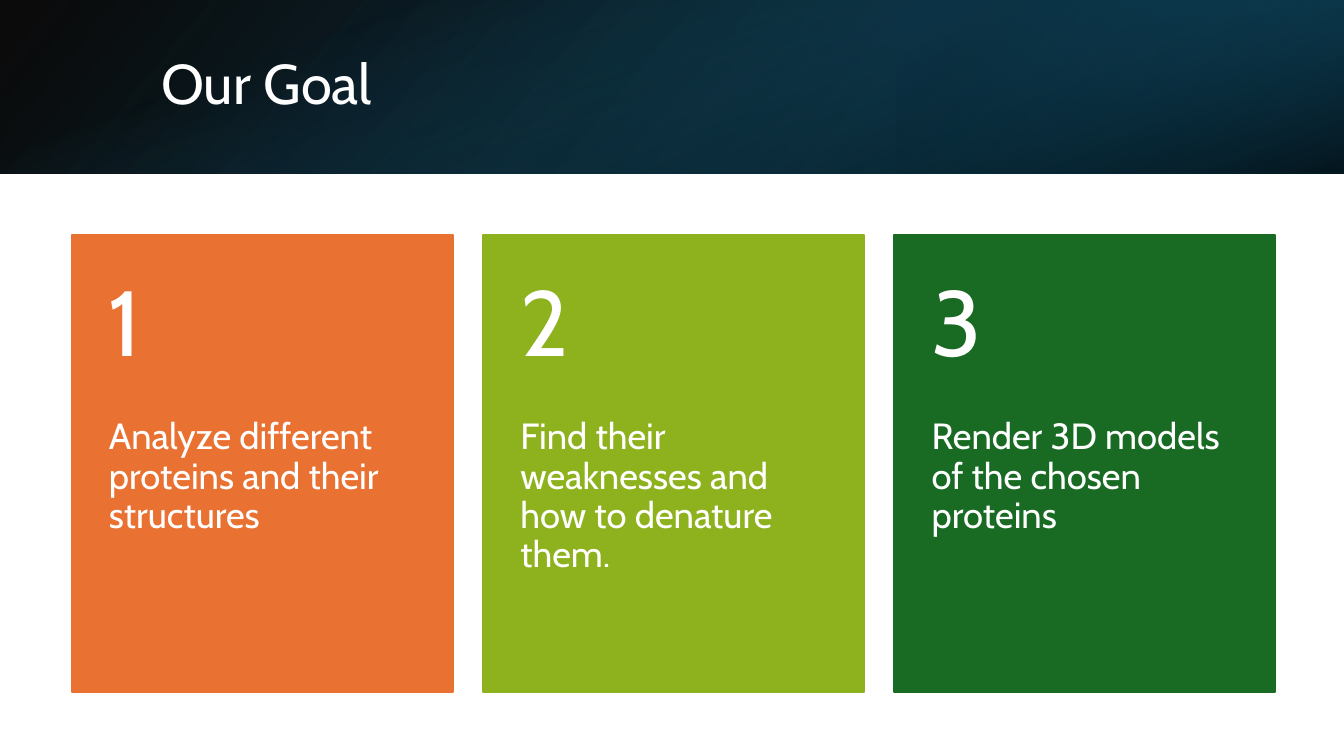
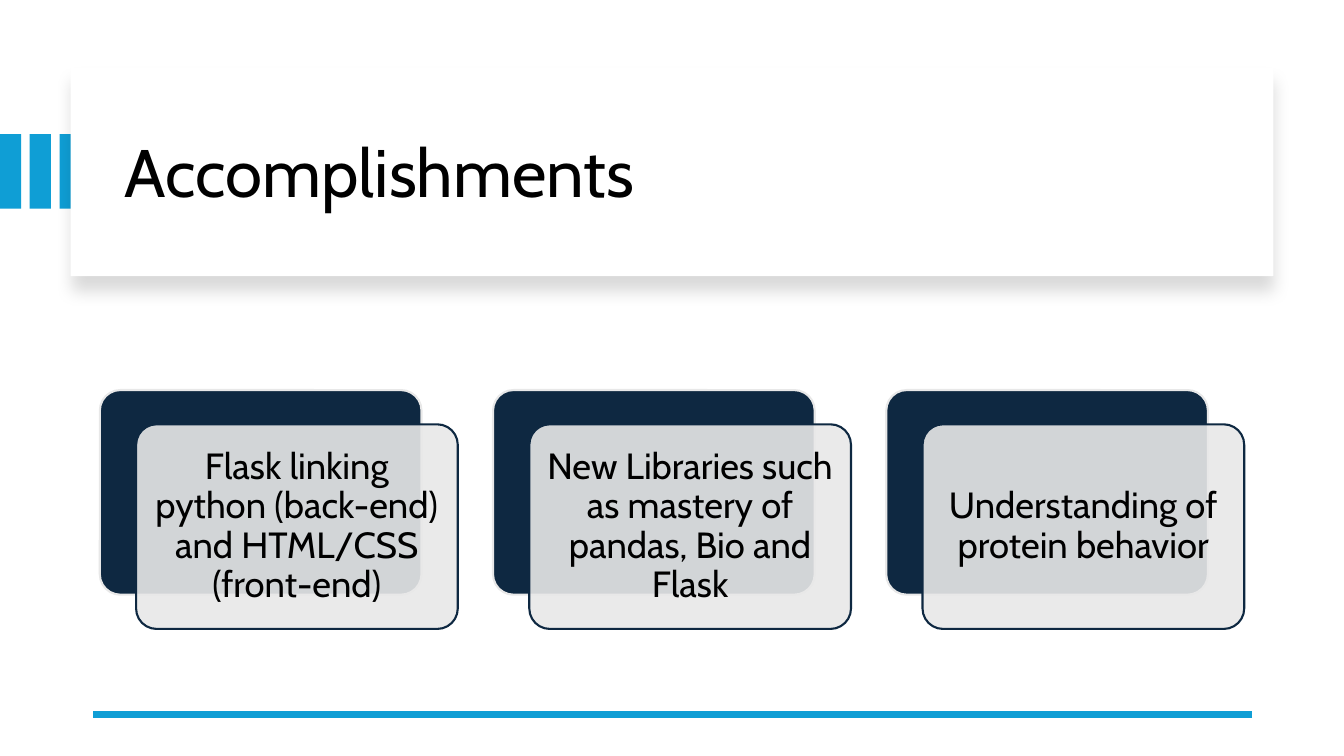
from dataclasses import dataclass

from lxml.etree import SubElement
from pptx import Presentation
from pptx.dml.color import RGBColor
from pptx.enum.shapes import MSO_CONNECTOR, MSO_SHAPE
from pptx.enum.text import MSO_ANCHOR, PP_ALIGN
from pptx.oxml.ns import qn
from pptx.shapes.autoshape import Shape
from pptx.slide import Slide
from pptx.util import Inches, Pt

HUES = {
    "white": "FFFFFF", "black": "000000", "orange": "E97132", "lime": "8EB21E",
    "green": "196B24", "sky": "0F9ED5", "navy": "0E2841", "grey": "E8E8E8",
    "teal": "156082", "deep": "104862", "dark": "0B3041",
}
FONT = "Cabin"
WIDE, HIGH = 13.33, 7.5
BAND = 1.72

Box = tuple[float, float, float, float]


@dataclass(frozen=True)
class Stop:
    place: float
    hue: str
    alpha: int


@dataclass(frozen=True)
class Shade:
    box: Box
    turn: int
    flip: bool
    angle: int
    stops: tuple[Stop, Stop]


@dataclass(frozen=True)
class Card:
    hue: str
    text: str


@dataclass(frozen=True)
class Style:
    size: int
    hue: str
    pads: Box = (0.1, 0.05, 0.1, 0.05)
    align: PP_ALIGN = PP_ALIGN.LEFT
    anchor: MSO_ANCHOR = MSO_ANCHOR.MIDDLE


SHADES = (
    Shade((0, 0, WIDE, BAND), 0, True, 140,
          (Stop(0, "black", 96), Stop(1, "deep", 100))),
    Shade((8.89, 0, 4.44, BAND), 180, True, 320,
          (Stop(0.19, "dark", 68), Stop(1, "teal", 79))),
    Shade(((WIDE - BAND) / 2, (BAND - WIDE) / 2, BAND, WIDE), 90, False, 340,
          (Stop(0.23, "teal", 0), Stop(0.99, "black", 74))),
)
CARDS = (
    Card("orange", "Analyze different proteins and their structures"),
    Card("lime", "Find their weaknesses and how to denature them."),
    Card("green", "Render 3D models of the chosen proteins"),
)
FEATS = (
    "Flask linking python (back-end) and HTML/CSS (front-end)",
    "New Libraries such as mastery of pandas, Bio and Flask",
    "Understanding of protein behavior",
)
COUNT = Style(66, "white", (0.37, 0.18, 0.37, 0.18))
BODY = Style(26, "white", (0.37, 0, 0.37, 0.36), anchor=MSO_ANCHOR.TOP)
LABEL = Style(26, "black", (0.11,) * 4, PP_ALIGN.CENTER)


def tint(name: str) -> RGBColor:
    return RGBColor.from_string(HUES[name])


def fade(node, alpha: int) -> None:
    """Give a colour node an opacity in percent."""
    SubElement(node, qn("a:alpha"), val=str(alpha * 1000))


def write(shape: Shape, text: str, style: Style) -> None:
    frame = shape.text_frame
    sides = ("left", "top", "right", "bottom")
    form = {f"margin_{side}": Inches(pad) for side, pad in zip(sides, style.pads)}
    form |= {"word_wrap": True, "vertical_anchor": style.anchor}
    para = frame.paragraphs[0]
    run = para.add_run()
    run.text = text
    looks = (
        (frame, form),
        (para, {"alignment": style.align, "line_spacing": 0.9}),
        (run.font, {"name": FONT, "size": Pt(style.size)}),
    )
    for part, values in looks:
        for key, value in values.items():
            setattr(part, key, value)
    run.font.color.rgb = tint(style.hue)


def label(slide: Slide, box: Box, text: str, style: Style) -> None:
    write(slide.shapes.add_textbox(*map(Inches, box)), text, style)


def block(slide: Slide, box: Box, fill: str, edge: str | None = None,
          kind: MSO_SHAPE = MSO_SHAPE.RECTANGLE) -> Shape:
    shape = slide.shapes.add_shape(kind, *map(Inches, box))
    shape.shadow.inherit = False
    shape.fill.solid()
    shape.fill.fore_color.rgb = tint(fill)
    if edge:
        shape.line.color.rgb = tint(edge)
        shape.line.width = Pt(1.5)
    else:
        shape.line.fill.background()
    return shape


def blend(slide: Slide, shade: Shade) -> None:
    shape = block(slide, shade.box, "black")
    shape.rotation = shade.turn
    props = shape.element.spPr
    if shade.flip:
        props.find(qn("a:xfrm")).set("flipH", "1")
    shape.fill.gradient()
    shape.fill.gradient_angle = 360 - shade.angle
    for mark, stop in zip(shape.fill.gradient_stops, shade.stops):
        mark.position = stop.place
        mark.color.rgb = tint(stop.hue)
    for node, stop in zip(props.iter(qn("a:srgbClr")), shade.stops):
        fade(node, stop.alpha)


def panel(slide: Slide, box: Box) -> None:
    """Draw a white panel with a soft shadow below it."""
    shape = block(slide, box, "white")
    glow = SubElement(
        shape.element.spPr.find(qn("a:effectLst")), qn("a:outerShdw"),
        blurRad=str(Pt(11)), dist=str(Pt(10)), dir=str(90 * 60000),
        algn="t", rotWithShape="0")
    fade(SubElement(glow, qn("a:srgbClr"), val=HUES["black"]), 15)


def rule(slide: Slide, start: float, end: float, top: float) -> None:
    line = slide.shapes.add_connector(
        MSO_CONNECTOR.STRAIGHT, *map(Inches, (start, top, end, top)))
    line.line.color.rgb = tint("sky")
    line.line.width = Pt(4.5)
    SubElement(line.element.spPr, qn("a:effectLst"))


def goal(slide: Slide) -> None:
    # Header band
    for shade in SHADES:
        blend(slide, shade)
    label(slide, (1.5, 0.38, 10.98, 0.96), "Our Goal", Style(40, "white"))

    # Numbered cards
    top, wide, head, foot = 2.33, 3.78, 1.82, 2.72
    for i, card in enumerate(CARDS):
        left = 0.71 + i * 4.08
        block(slide, (left, top, wide, head + foot), card.hue, card.hue)
        label(slide, (left, top + head, wide, foot), card.text, BODY)
        label(slide, (left, top, wide, head), str(i + 1), COUNT)


def feats(slide: Slide) -> None:
    # Stripes and title panel
    for i in range(3):
        block(slide, (i * 0.59 / 2, 1.33, 0.21, 0.74), "sky")
    panel(slide, (0.7, 0.67, 11.93, 2.07))
    label(slide, (1.14, 0.89, 11.13, 1.7), "Accomplishments", Style(48, "black"))
    rule(slide, 12.42, 0.92, 7.09)

    # Layered tiles
    wide, high = 3.19, 2.03
    for i, text in enumerate(FEATS):
        left = 0.99 + i * 3.9
        back = block(slide, (left, 3.87, wide, high), "navy", "grey",
                     MSO_SHAPE.ROUNDED_RECTANGLE)
        front = block(slide, (left + 0.36, 4.21, wide, high), "grey", "navy",
                      MSO_SHAPE.ROUNDED_RECTANGLE)
        for tile in (back, front):
            tile.adjustments[0] = 0.1
        fade(next(front.element.spPr.iter(qn("a:srgbClr"))), 90)
        write(front, text, LABEL)


def main() -> None:
    deck = Presentation()
    deck.slide_width, deck.slide_height = Inches(WIDE), Inches(HIGH)
    for draw in (goal, feats):
        draw(deck.slides.add_slide(deck.slide_layouts[6]))
    deck.save("out.pptx")


if __name__ == "__main__":
    main()
